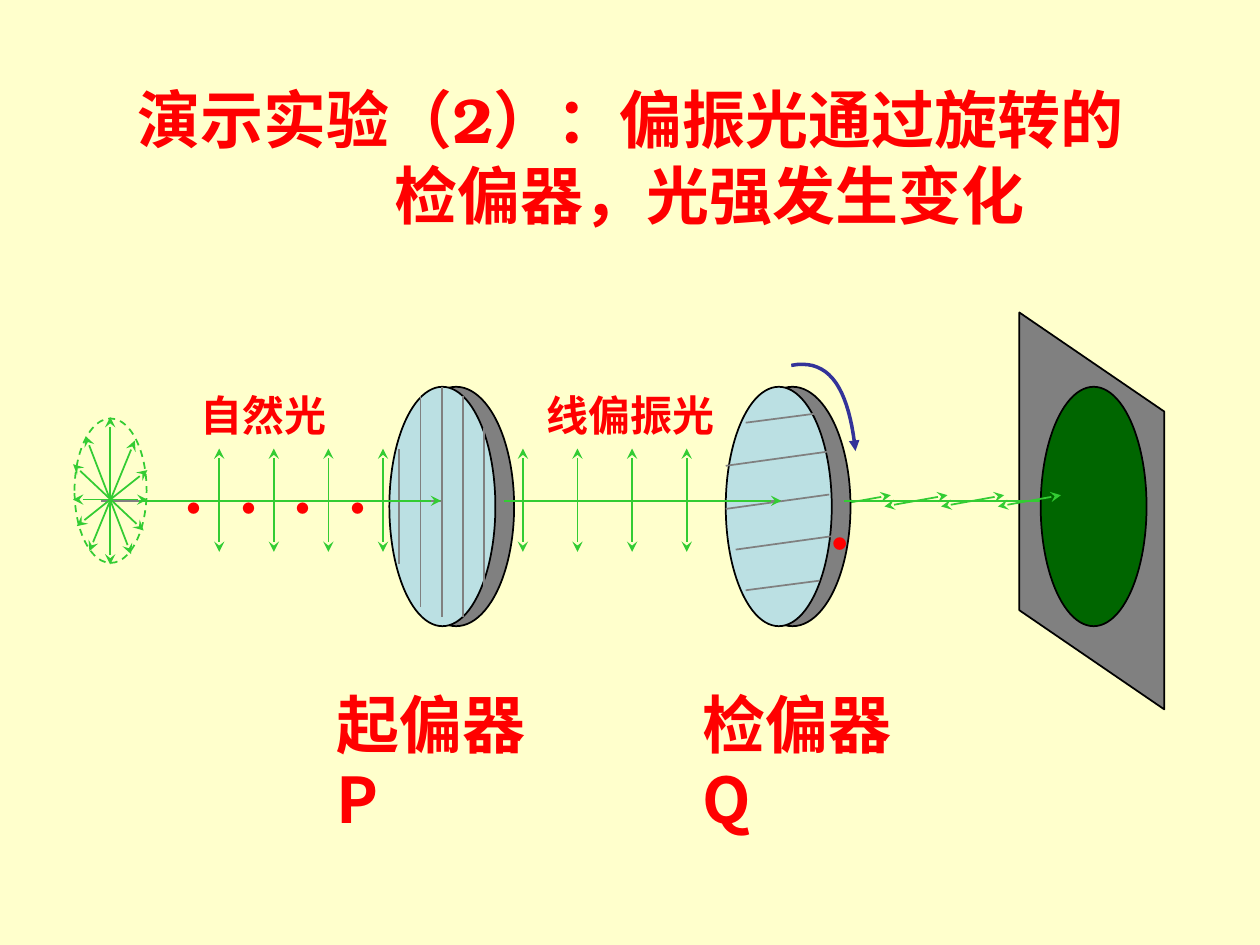
from pptx import Presentation, util as u
from pptx.dml.color import RGBColor
from pptx.enum import dml, shapes, text
from pptx.oxml import ns
from lxml import etree

COLS, ROWS = 100, 75
CELL = u.Inches(0.1)
HUE = {"bg": "FFFFCC", "ray": "33CC33", "grey": "808080", "edge": "000000",
       "glass": "BBE0E3", "turn": "333399", "spot": "006600", "word": "FF0000"}
SANS, SERIF = "Noto Sans CJK SC", "TeX Gyre Bonum"
KIND = shapes.MSO_SHAPE


def cells(*vals):
    return [round(val * CELL) for val in vals]


def rgb(hue):
    return RGBColor.from_string(HUE[hue])


def part(box, left, top, wide=0, high=0):
    x, y, w, h = box
    return x + left * w, y + top * h, wide * w, high * h


def set_line(line, hue, width=1, ends=()):
    line.color.rgb = rgb(hue)
    line.width = u.Pt(width)
    for end, form in ends:
        tip = etree.SubElement(line._get_or_add_ln(), ns.qn(f"a:{end}End"))
        tip.set("type", form)


def shape(on, kind, box, fill, edge="edge"):
    item = on.add_shape(kind, *cells(*box))
    item.shadow.inherit = False
    if fill:
        item.fill.solid()
        item.fill.fore_color.rgb = rgb(fill)
    else:
        item.fill.background()
    set_line(item.line, edge)
    return item


def stroke(on, box, ends, hue="grey", tips=()):
    x1, y1, x2, y2 = ends
    start, stop = part(box, x1, y1)[:2], part(box, x2, y2)[:2]
    item = on.add_connector(shapes.MSO_CONNECTOR.STRAIGHT, *cells(*start, *stop))
    etree.SubElement(item._element.spPr, ns.qn("a:effectLst"))
    set_line(item.line, hue, 1, [(tip, "stealth") for tip in tips])


def label(on, box, lines, size, face, wrap=False, indent=0):
    frame = on.add_textbox(*cells(*box)).text_frame
    frame.word_wrap = wrap
    frame.auto_size = text.MSO_AUTO_SIZE.SHAPE_TO_FIT_TEXT
    form = {"size": u.Pt(size), "name": face, "bold": True}
    for num, line in enumerate(lines):
        para = frame.add_paragraph() if num else frame.paragraphs[0]
        run = para.add_run()
        run.text = line
        for key, val in form.items():
            setattr(run.font, key, val)
        run.font.color.rgb = rgb("word")
        east = etree.SubElement(run._r.get_or_add_rPr(), ns.qn("a:ea"))
        east.set("typeface", SANS)
        if num and indent:
            para._p.get_or_add_pPr().set("marL", str(cells(indent)[0]))


def lens(on, box, marks):
    shape(on, KIND.OVAL, part(box, 0.07, 0, 0.93, 1), "grey")
    shape(on, KIND.OVAL, part(box, 0, 0, 0.85, 1), "glass")
    for mark in marks:
        stroke(on, box, mark)


def source(on, box):
    group = on.add_group_shape().shapes
    ring = shape(group, KIND.OVAL, part(box, 0.02, 0.01, 0.97, 0.98), None, "ray")
    ring.line.dash_style = dml.MSO_LINE.DASH
    spokes = [(0.5, 0, 0.5, 1), (0.83, 0.16, 0.22, 0.91), (0, 0.32, 0.95, 0.77),
              (0, 0.56, 1, 0.56), (0.17, 0.13, 0.78, 0.93), (0.05, 0.74, 1, 0.36)]
    for spoke in spokes:
        stroke(group, box, spoke, "ray", ("head", "tail"))


def waves(on, box, dots=False):
    x, y, w, h = box
    for num in range(4):
        stroke(on, box, (num / 3, 0, num / 3, 1), "ray", ("head", "tail"))
        if dots:
            left = x + w * num / 3 - 3.8
            label(on, (left, y - 0.3, 3.7, 7), ["."], 36, SERIF)


def jags(on, box, picks):
    for num in picks:
        left = num * 0.9
        stroke(on, box, (left + 1, 0, left, 1), "ray", ("head", "tail"))


def screen(on, box):
    x, y, w, h = box
    plate = (x + (w - h) / 2, y + (h - w) / 2, h, w)
    item = shape(on, KIND.PARALLELOGRAM, plate, "grey")
    item.adjustments[0] = 0.684
    item.rotation = 90


def turn(on, box):
    knots = (0, 0), (0.62, -0.09), (0.9, 0.3), (1, 1)
    points = []
    for num in range(21):
        t = num / 20
        mix = (1 - t) ** 3, 3 * t * (1 - t) ** 2, 3 * t * t * (1 - t), t ** 3
        share = [sum(m * k[axis] for m, k in zip(mix, knots)) for axis in (0, 1)]
        points.append(tuple(cells(*part(box, *share)[:2])))
    pen = on.build_freeform(*points[0])
    pen.add_line_segments(points[1:], close=False)
    item = pen.convert_to_shape()
    item.shadow.inherit = False
    item.fill.background()
    set_line(item.line, "turn", 2, [("tail", "triangle")])


def main():
    deck = Presentation()
    deck.slide_width, deck.slide_height = cells(COLS, ROWS)
    slide = deck.slides.add_slide(deck.slide_layouts[6])
    slide.background.fill.solid()
    slide.background.fill.fore_color.rgb = rgb("bg")
    on = slide.shapes

    spans = [(0.26, 0.74), (0.04, 0.92), (0, 0.96), (0.04, 0.96), (0.17, 0.83)]
    bars = [(0.08 + 0.17 * num, top, 0.08 + 0.17 * num, end)
            for num, (top, end) in enumerate(spans)]
    slants = [(0.16, 0.15, 0.75, 0.11), (0, 0.33, 0.83, 0.27), (0, 0.51, 0.83, 0.45),
              (0.08, 0.68, 0.91, 0.62), (0.16, 0.85, 0.75, 0.81)]
    zig = (65.7, 39.3, 5, 0.9)
    jags(on, zig, [0])
    lens(on, (30.9, 30.7, 9.9, 19), bars)
    lens(on, (57.6, 30.7, 9.9, 19), slants)
    screen(on, (80.9, 24.8, 11.5, 31.5))

    page = (0, 0, COLS, ROWS)
    axis = 0.53
    for left, right, hue, tips in [
            (0.08, 0.35, "grey", ()), (0.11, 0.35, "ray", ("tail",)),
            (0.4, 0.62, "grey", ()), (0.4, 0.62, "ray", ("tail",)),
            (0.67, 0.87, "ray", ("tail",))]:
        stroke(on, page, (left, axis, right, axis), hue, tips)
    source(on, (5.8, 33.1, 5.9, 11.7))
    waves(on, (17.4, 35.6, 13, 8.2), dots=True)
    waves(on, (41.5, 35.6, 13, 8.2))
    turn(on, (62.8, 29, 5.1, 6.8))
    label(on, (64.8, 37.6, 3.9, 7.7), ["."], 40, SERIF)
    shape(on, KIND.OVAL, (82.6, 30.7, 8.4, 19), "spot")
    jags(on, zig, [1, 2, 3])

    for left, word in [(25.7, "起偏器P"), (54.8, "检偏器Q")]:
        label(on, (left, 53.9, 18, 7), [word], 36, SANS, wrap=True)
    for left, wide, word in [(14.9, 12, "自然光"), (42.4, 15.4, "线偏振光")]:
        label(on, (left, 30.4, wide, 5), [word], 24, SANS)
    title = ["演示实验（2）：偏振光通过旋转的", "检偏器，光强发生变化"]
    label(on, (9.9, 5.9, 82.7, 13), title, 36, SERIF, indent=20.4)
    deck.save("out.pptx")


if __name__ == "__main__":
    main()
